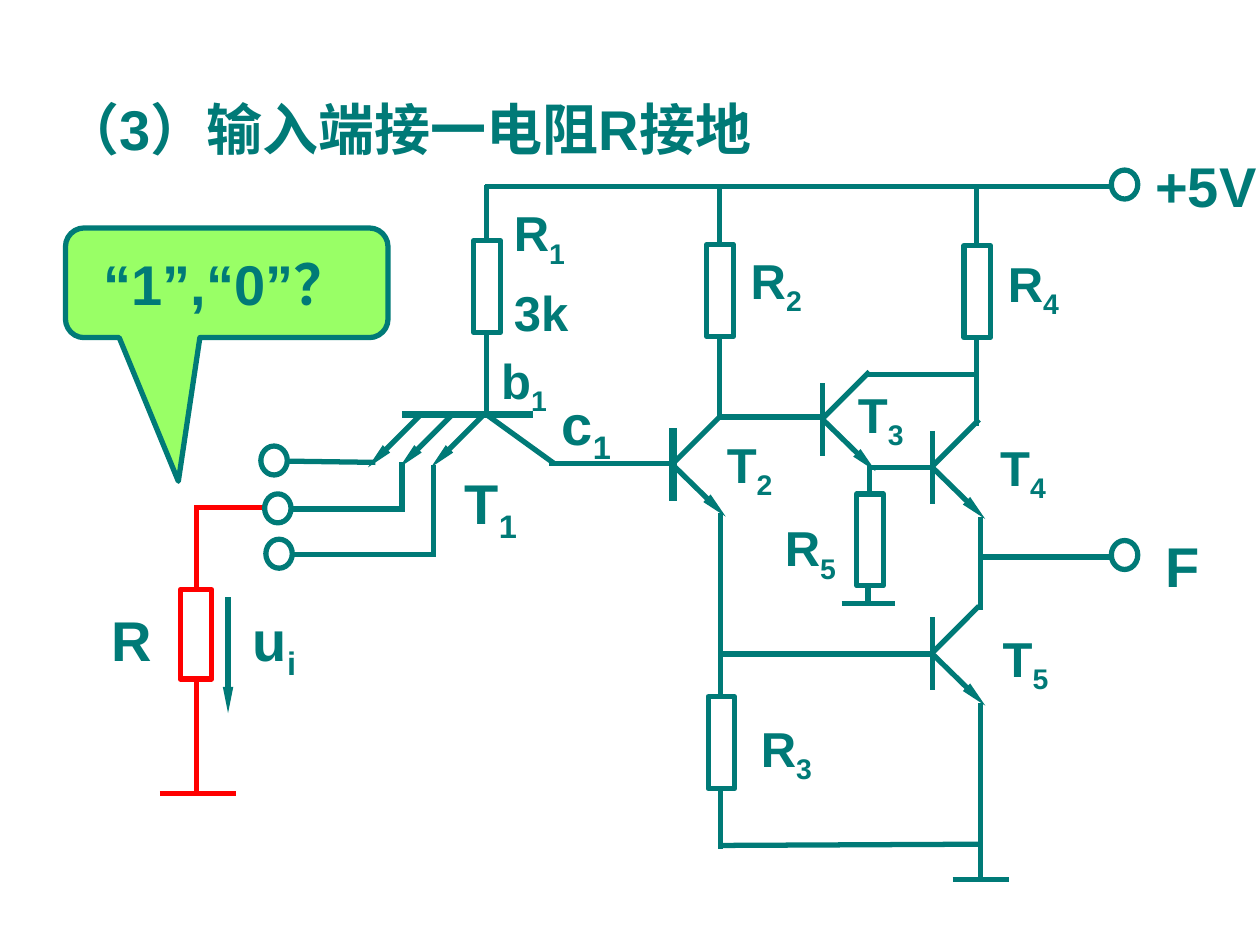
from dataclasses import dataclass
from typing import NamedTuple

from lxml.etree import SubElement
from pptx import Presentation
from pptx.dml.color import RGBColor
from pptx.enum.shapes import MSO_CONNECTOR as Connector, MSO_SHAPE as Shape
from pptx.enum.text import MSO_ANCHOR as Anchor, MSO_AUTO_SIZE as AutoSize, PP_ALIGN as Align
from pptx.oxml.ns import qn
from pptx.util import Pt

EMU_PER_PX = 9144  # 100 px to the inch


@dataclass(frozen=True)
class Theme:
    teal: RGBColor = RGBColor(0x00, 0x7A, 0x77)
    red: RGBColor = RGBColor(0xFF, 0x00, 0x00)
    lime: RGBColor = RGBColor(0x99, 0xFF, 0x66)
    font: str = "Arial"
    large: int = 32
    small: int = 28
    stroke: float = 3
    heavy: float = 4.5


THEME = Theme()


class Wire(NamedTuple):
    x1: int
    y1: int
    x2: int
    y2: int
    color: RGBColor = THEME.teal
    width: float = THEME.stroke
    arrow: bool = False


class Box(NamedTuple):
    left: int
    top: int
    width: int
    height: int


class Label(NamedTuple):
    text: str
    subscript: str
    box: Box
    size: int = THEME.small


class Transistor(NamedTuple):
    base_x: int
    base_top: int
    base_width: float = THEME.stroke


INPUT_WIRES = [
    Wire(154, 403, 210, 403, THEME.red),
    Wire(156, 403, 156, 468, THEME.red),
    Wire(156, 539, 156, 630, THEME.red),
    Wire(127, 630, 187, 630, THEME.red),
    Wire(181, 474, 181, 566, arrow=True),
]
INPUT_RESISTOR = Box(143, 468, 25, 71)
INPUT_LABELS = [
    Label("R", "", Box(79, 476, 62, 64), THEME.large),
    Label("u", "i", Box(191, 476, 96, 71), THEME.large),
]

# Multi-emitter input transistor T1
T1_WIRES = [
    Wire(319, 329, 423, 329, width=THEME.heavy),
    *(Wire(x, 329, x - 42, 371, arrow=True) for x in (384, 359, 334)),
    Wire(386, 329, 440, 368),
    Wire(436, 368, 534, 368),
]
TRANSISTORS = [
    Transistor(534, 340, THEME.heavy),  # T2
    Transistor(653, 304),  # T3
    Transistor(740, 342),  # T4
    Transistor(740, 490),  # T5
]
WIRES = [
    # Supply rail and its branches
    Wire(385, 148, 883, 148),
    Wire(386, 190, 386, 147),
    Wire(386, 329, 386, 265),
    Wire(571, 194, 571, 147),
    Wire(571, 331, 571, 267),
    Wire(775, 196, 775, 148),
    Wire(775, 338, 775, 268),
    # T2 to T3, T3 to T4
    Wire(653, 331, 571, 331),
    Wire(688, 297, 775, 297),
    Wire(688, 371, 740, 371),
    # R5 to ground
    Wire(690, 369, 690, 392),
    Wire(689, 464, 689, 480),
    Wire(668, 479, 710, 479),
    # T2 emitter, R3 and the T5 base
    Wire(572, 407, 572, 553),
    Wire(739, 519, 572, 519),
    Wire(572, 625, 572, 674),
    Wire(572, 671, 778, 670),
    # Output and ground
    Wire(778, 410, 778, 484),
    Wire(778, 442, 882, 442),
    Wire(778, 558, 778, 699),
    Wire(756, 698, 801, 698),
    # Inputs
    Wire(298, 367, 228, 366),
    Wire(319, 367, 319, 406),
    Wire(319, 404, 230, 404),
    Wire(344, 369, 344, 442),
    Wire(346, 440, 232, 440),
]
RESISTOR_CORNERS = [(376, 191), (561, 194), (562, 553), (765, 195), (680, 392)]
TERMINAL_CORNERS = [(882, 135), (882, 429), (207, 354), (210, 392), (211, 428)]
LABELS = [
    Label("+5V", "", Box(907, 115, 137, 64), THEME.large),
    Label("F", "", Box(915, 417, 81, 64), THEME.large),
    Label("R", "4", Box(790, 196, 115, 63)),
    Label("R", "2", Box(586, 194, 115, 63)),
    Label("R", "1", Box(398, 156, 115, 63)),
    Label("3k", "", Box(398, 219, 135, 57)),
    Label("T", "2", Box(567, 340, 67, 63)),
    Label("R", "5", Box(613, 406, 69, 63)),
    Label("R", "3", Box(594, 565, 113, 63)),
    Label("T", "3", Box(671, 300, 108, 63)),
    Label("T", "4", Box(784, 342, 73, 63)),
    Label("T", "1", Box(359, 367, 79, 71), THEME.large),
    Label("T", "5", Box(786, 494, 73, 63)),
    Label("b", "1", Box(388, 273, 87, 63)),
    Label("c", "1", Box(436, 304, 110, 71), THEME.large),
]


def px(*lengths: int) -> list[int]:
    return [length * EMU_PER_PX for length in lengths]


def add_run(paragraph, text: str, size: int, subscript: bool = False) -> None:
    run = paragraph.add_run()
    run.text = text
    run.font.name = THEME.font
    run.font.size = Pt(size)
    run.font.bold = True
    run.font.color.rgb = THEME.teal
    if subscript:
        run._r.get_or_add_rPr().set("baseline", "-25000")


def draw_wire(slide, wire: Wire) -> None:
    ends = px(wire.x1, wire.y1, wire.x2, wire.y2)
    connector = slide.shapes.add_connector(Connector.STRAIGHT, *ends)
    connector.line.color.rgb = wire.color
    connector.line.width = Pt(wire.width)
    if wire.arrow:
        line = connector.line._get_or_add_ln()
        SubElement(line, qn("a:tailEnd"), type="triangle", w="sm", len="lg")
    SubElement(connector._element.spPr, qn("a:effectLst"))


def draw_outline(slide, kind: Shape, box: Box, color: RGBColor = THEME.teal):
    shape = slide.shapes.add_shape(kind, *px(*box))
    shape.shadow.inherit = False
    shape.fill.background()
    shape.line.color.rgb = color
    shape.line.width = Pt(THEME.stroke)
    return shape


def draw_transistor(slide, transistor: Transistor) -> None:
    """Draw the base bar, the emitter arrow and the collector."""
    x, top, width = transistor
    draw_wire(slide, Wire(x, top, x, top + 58, width=width))
    draw_wire(slide, Wire(x, top + 29, x + 42, top + 70, arrow=True))
    draw_wire(slide, Wire(x, top + 28, x + 37, top - 9))


def draw_label(slide, label: Label) -> None:
    frame = slide.shapes.add_textbox(*px(*label.box)).text_frame
    frame.word_wrap = True
    paragraph = frame.paragraphs[0]
    add_run(paragraph, label.text, label.size)
    if label.subscript:
        add_run(paragraph, label.subscript, label.size, subscript=True)


def draw_title(slide) -> None:
    title = slide.shapes.title
    title.left, title.top, title.width, title.height = px(40, 70, 604, 117)
    frame = title.text_frame
    frame.auto_size = AutoSize.NONE
    frame.vertical_anchor = Anchor.TOP
    paragraph = frame.paragraphs[0]
    paragraph.alignment = Align.LEFT
    add_run(paragraph, "（3）输入端接一电阻R接地", THEME.large)


def draw_callout(slide) -> None:
    callout = draw_outline(slide, Shape.ROUNDED_RECTANGULAR_CALLOUT, Box(52, 181, 256, 87))
    for index, value in enumerate((-0.15, 1.81, 0.17)):
        callout.adjustments[index] = value
    callout.fill.solid()
    callout.fill.fore_color.rgb = THEME.lime
    frame = callout.text_frame
    frame.word_wrap = False
    frame.vertical_anchor = Anchor.MIDDLE
    paragraph = frame.paragraphs[0]
    paragraph.alignment = Align.CENTER
    add_run(paragraph, "“1”,“0”？", THEME.large)


def main() -> None:
    presentation = Presentation()
    presentation.slide_width, presentation.slide_height = px(1000, 750)
    slide = presentation.slides.add_slide(presentation.slide_layouts[5])
    draw_title(slide)
    for wire in INPUT_WIRES:
        draw_wire(slide, wire)
    draw_outline(slide, Shape.RECTANGLE, INPUT_RESISTOR, THEME.red)
    draw_callout(slide)
    for wire in T1_WIRES + WIRES:
        draw_wire(slide, wire)
    for transistor in TRANSISTORS:
        draw_transistor(slide, transistor)
    for corner in RESISTOR_CORNERS:
        draw_outline(slide, Shape.RECTANGLE, Box(*corner, 21, 73))
    for corner in TERMINAL_CORNERS:
        draw_outline(slide, Shape.OVAL, Box(*corner, 21, 23))
    for label in INPUT_LABELS + LABELS:
        draw_label(slide, label)
    presentation.save("out.pptx")


if __name__ == "__main__":
    main()
